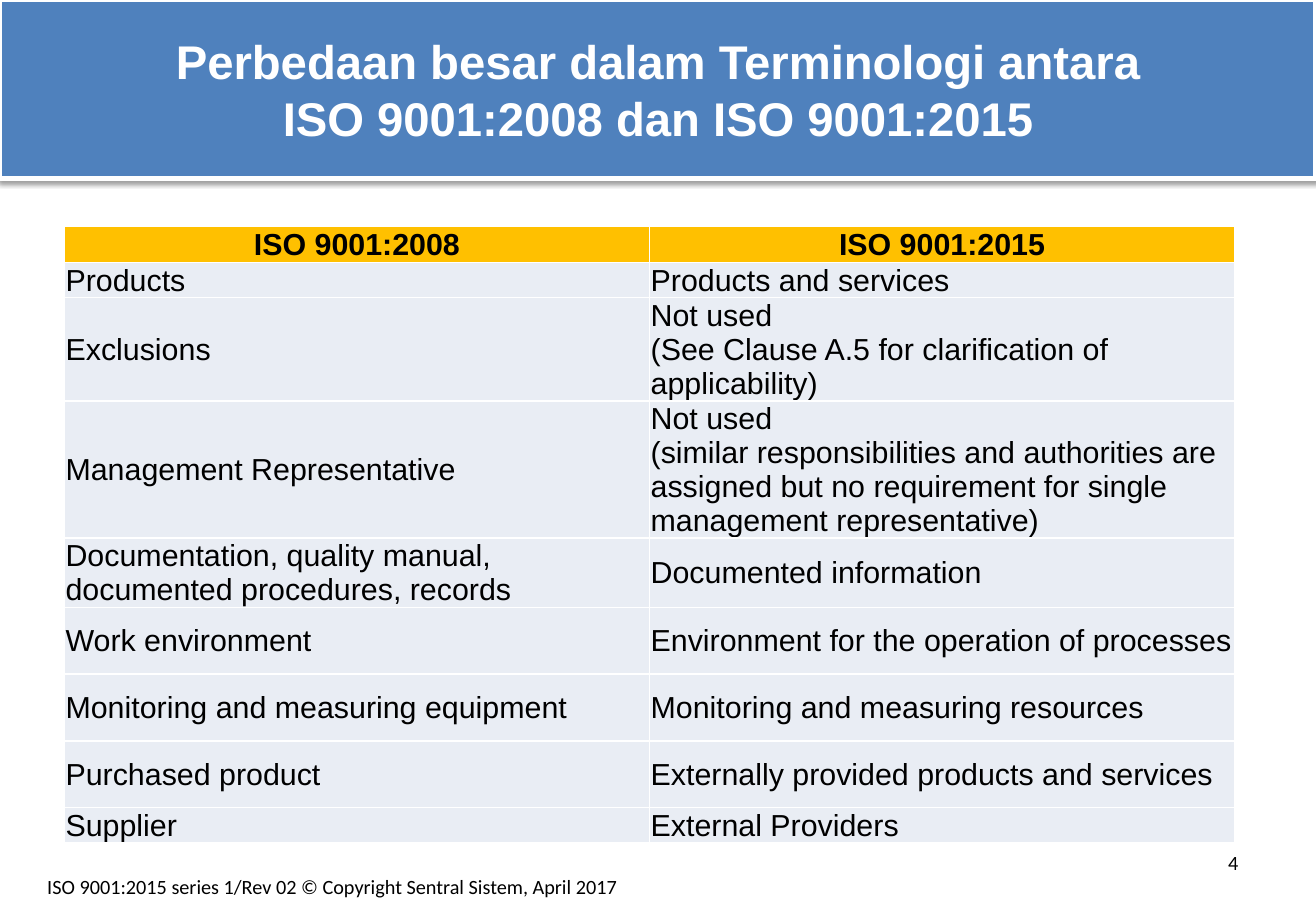
from pptx import Presentation
from pptx.dml.color import RGBColor
from pptx.enum.shapes import MSO_SHAPE
from pptx.enum.text import MSO_ANCHOR, PP_ALIGN
from pptx.oxml import parse_xml
from pptx.oxml.ns import nsdecls, qn
from pptx.util import Inches, Pt

RECTANGLE = MSO_SHAPE.RECTANGLE
MIDDLE = MSO_ANCHOR.MIDDLE
LEFT, CENTER, RIGHT = PP_ALIGN.LEFT, PP_ALIGN.CENTER, PP_ALIGN.RIGHT

BLUE = RGBColor(0x4F, 0x81, 0xBD)
AMBER = RGBColor(0xFF, 0xC0, 0x00)
PALE = RGBColor(0xE9, 0xED, 0xF4)
WHITE = RGBColor(0xFF, 0xFF, 0xFF)
BLACK = RGBColor(0x00, 0x00, 0x00)

SLIDE_W, SLIDE_H = 10.83, 7.5

TITLE = ["Perbedaan besar dalam Terminologi antara",
         "ISO 9001:2008 dan ISO 9001:2015"]
# Each term: 2008 wording, 2015 wording, row height
TERMS = [
    ("ISO 9001:2008", "ISO 9001:2015", 0.3),
    ("Products", "Products and services", 0.28),
    ("Exclusions",
     "Not used\n(See Clause A.5 for clarification of applicability)", 0.69),
    ("Management Representative",
     "Not used\n(similar responsibilities and authorities are assigned "
     "but no requirement for single management representative)", 1.12),
    ("Documentation, quality manual, documented procedures, records",
     "Documented information", 0.56),
    ("Work environment", "Environment for the operation of processes", 0.55),
    ("Monitoring and measuring equipment",
     "Monitoring and measuring resources", 0.55),
    ("Purchased product", "Externally provided products and services", 0.55),
    ("Supplier", "External Providers", 0.28),
]
COPYRIGHT = "ISO 9001:2015 series 1/Rev 02 © Copyright Sentral Sistem, April 2017"


def write(paragraph, text, size, font="Arial", color=BLACK, bold=False,
          align=LEFT):
    paragraph.alignment = align
    for index, line in enumerate(text.split("\n")):
        if index:
            paragraph.add_line_break()
        run = paragraph.add_run()
        run.text = line
        run.font.name = font
        run.font.size = Pt(size)
        run.font.bold = bold
        run.font.color.rgb = color


def add_title_band(slide, left, top, width, height):
    band = slide.shapes.add_shape(RECTANGLE, Inches(left), Inches(top),
                                  Inches(width), Inches(height))
    band.fill.solid()
    band.fill.fore_color.rgb = BLUE
    band.line.color.rgb = WHITE
    band.line.width = Pt(3)

    # Soft shadow below the band
    band.shadow.inherit = False
    effects = band._element.spPr.find(qn("a:effectLst"))
    effects.append(parse_xml(
        f'<a:outerShdw {nsdecls("a")} blurRad="{Pt(3.1)}" dist="{Pt(1.6)}" '
        'dir="5400000" rotWithShape="0"><a:srgbClr val="000000">'
        '<a:alpha val="38000"/></a:srgbClr></a:outerShdw>'))

    frame = band.text_frame
    frame.word_wrap = True
    frame.vertical_anchor = MIDDLE
    frame.margin_left = frame.margin_right = Inches(0.07)
    frame.margin_top = frame.margin_bottom = Inches(0.04)
    for index, line in enumerate(TITLE):
        paragraph = frame.add_paragraph() if index else frame.paragraphs[0]
        write(paragraph, line, 28, color=WHITE, bold=True, align=CENTER)


def add_borders(cell):
    properties = cell._tc.get_or_add_tcPr()
    for index, side in enumerate(("lnL", "lnR", "lnT", "lnB")):
        properties.insert(index, parse_xml(
            f'<a:{side} {nsdecls("a")} w="{Pt(1)}"><a:solidFill>'
            f'<a:srgbClr val="{WHITE}"/></a:solidFill></a:{side}>'))


def add_terms_table(slide, left, top, width):
    height = sum(term[-1] for term in TERMS)
    table = slide.shapes.add_table(len(TERMS), 2, Inches(left), Inches(top),
                                   Inches(width), Inches(height)).table
    for column in table.columns:
        column.width = Inches(width / 2)
    for row_index, (*wordings, row_height) in enumerate(TERMS):
        table.rows[row_index].height = Inches(row_height)
        is_header = row_index == 0
        for column_index, wording in enumerate(wordings):
            cell = table.cell(row_index, column_index)
            cell.vertical_anchor = MIDDLE
            cell.margin_left = cell.margin_right = Inches(0.01)
            cell.margin_top = Inches(0.01)
            cell.margin_bottom = 0
            cell.fill.solid()
            cell.fill.fore_color.rgb = AMBER if is_header else PALE
            add_borders(cell)
            write(cell.text_frame.paragraphs[0], wording, 18, bold=is_header,
                  align=CENTER if is_header else LEFT)


def add_footer_text(slide, text, left, top, width, height, align):
    box = slide.shapes.add_textbox(Inches(left), Inches(top),
                                   Inches(width), Inches(height))
    box.text_frame.word_wrap = True
    write(box.text_frame.paragraphs[0], text, 12, font="Calibri", align=align)


def main():
    deck = Presentation()
    deck.slide_width = Inches(SLIDE_W)
    deck.slide_height = Inches(SLIDE_H)
    slide = deck.slides.add_slide(deck.slide_layouts[6])

    add_title_band(slide, 0, 0, SLIDE_W, 1.47)
    add_terms_table(slide, 0.53, 1.86, 9.63)
    # Footer: copyright line and page number
    add_footer_text(slide, COPYRIGHT, 0.29, 7.15, 5.99, 0.4, LEFT)
    add_footer_text(slide, "4", 7.76, 6.95, 2.53, 0.4, RIGHT)

    deck.save("out.pptx")


if __name__ == "__main__":
    main()
